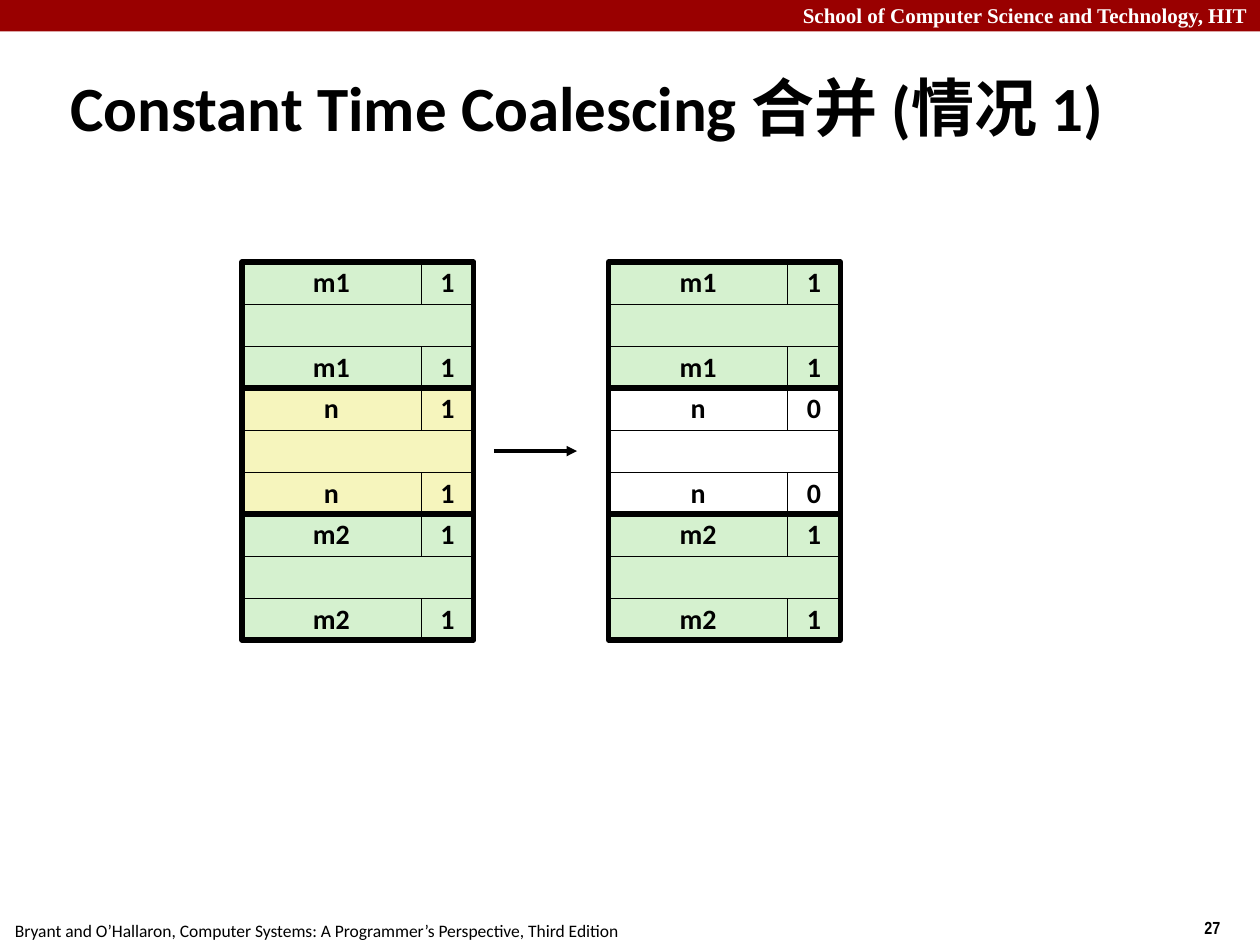
from dataclasses import dataclass
from typing import Optional

from lxml.etree import SubElement
from pptx import Presentation
from pptx.dml.color import RGBColor
from pptx.enum.shapes import MSO_CONNECTOR, MSO_SHAPE
from pptx.enum.text import MSO_ANCHOR, PP_ALIGN
from pptx.oxml.ns import qn
from pptx.util import Inches, Pt


@dataclass(frozen=True)
class Theme:
    black: str = "000000"
    white: str = "FFFFFF"
    banner: str = "990000"
    green: str = "D5F1CF"
    yellow: str = "F6F5BD"
    body_font: str = "Calibri"
    number_font: str = "Arial Narrow"
    banner_font: str = "Times New Roman"
    title_size: float = 36
    cell_size: float = 16
    banner_size: float = 12
    footer_size: float = 10
    thin: float = 0.25
    arrow: float = 2
    thick: float = 3


THEME = Theme()


@dataclass(frozen=True)
class Box:
    left: float
    top: float
    width: float
    height: float

    def lengths(self) -> tuple:
        return tuple(Inches(v) for v in (self.left, self.top, self.width, self.height))


@dataclass(frozen=True)
class TextStyle:
    size: float
    font: str = THEME.body_font
    color: str = THEME.black
    bold: bool = True
    align: PP_ALIGN = PP_ALIGN.LEFT


@dataclass(frozen=True)
class Label:
    text: str
    box: Box
    style: TextStyle
    wrap: bool = False
    anchor: MSO_ANCHOR = MSO_ANCHOR.TOP


@dataclass(frozen=True)
class Block:
    """A memory block: its size and allocated bit stand in header and footer."""
    size: str
    allocated: str
    fill: str


CELL_STYLE = TextStyle(THEME.cell_size, align=PP_ALIGN.CENTER)

HEAP_TOP = 2.08
ROW_HEIGHT = 1 / 3
BLOCK_HEIGHT = 3 * ROW_HEIGHT
SIZE_WIDTH = 1.42
BIT_WIDTH = 0.42
BLOCK_WIDTH = SIZE_WIDTH + BIT_WIDTH

FIRST = Block("m1", "1", THEME.green)
LAST = Block("m2", "1", THEME.green)
HEAPS = {
    1.92: (FIRST, Block("n", "1", THEME.yellow), LAST),
    4.83: (FIRST, Block("n", "0", THEME.white), LAST),
}

LABELS = (
    Label("27", Box(9.46, 7.23, 0.75, 0.27),
          TextStyle(THEME.footer_size, THEME.number_font)),
    Label("Bryant and O’Hallaron, Computer Systems: A Programmer’s Perspective, Third Edition",
          Box(0.02, 7.25, 5.01, 0.27), TextStyle(THEME.footer_size, bold=False)),
    Label("School of Computer Science and Technology, HIT", Box(0, -0.03, 10, 0.3),
          TextStyle(THEME.banner_size, THEME.banner_font, THEME.white, align=PP_ALIGN.RIGHT),
          wrap=True),
    Label("Constant Time Coalescing 合并 (情况 1)", Box(0.46, 0.53, 9.08, 0.63),
          TextStyle(THEME.title_size), wrap=True, anchor=MSO_ANCHOR.MIDDLE),
)


def write(frame, text: str, style: TextStyle, wrap: bool, anchor: MSO_ANCHOR):
    frame.word_wrap = wrap
    frame.vertical_anchor = anchor
    paragraph = frame.paragraphs[0]
    paragraph.alignment = style.align
    run = paragraph.add_run()
    run.text = text
    run.font.name = style.font
    run.font.size = Pt(style.size)
    run.font.bold = style.bold
    run.font.color.rgb = RGBColor.from_string(style.color)
    return paragraph


def add_label(slide, label: Label) -> None:
    frame = slide.shapes.add_textbox(*label.box.lengths()).text_frame
    write(frame, label.text, label.style, label.wrap, label.anchor)


def add_rectangle(shapes, box: Box, fill: Optional[str] = None,
                  line: Optional[float] = None, text: str = "") -> None:
    shape = shapes.add_shape(MSO_SHAPE.RECTANGLE, *box.lengths())
    shape.shadow.inherit = False
    if fill:
        shape.fill.solid()
        shape.fill.fore_color.rgb = RGBColor.from_string(fill)
    else:
        shape.fill.background()
    if line:
        shape.line.width = Pt(line)
        shape.line.color.rgb = RGBColor.from_string(THEME.black)
    else:
        shape.line.fill.background()
    if text:
        paragraph = write(shape.text_frame, text, CELL_STYLE, False, MSO_ANCHOR.MIDDLE)
        paragraph.line_spacing = 0.98


def add_block(shapes, left: float, top: float, block: Block) -> None:
    """Draw header, payload and footer rows, then the heavy frame."""
    for row in (0, 2):
        row_top = top + row * ROW_HEIGHT
        add_rectangle(shapes, Box(left, row_top, SIZE_WIDTH, ROW_HEIGHT),
                      block.fill, THEME.thin, block.size)
        add_rectangle(shapes, Box(left + SIZE_WIDTH, row_top, BIT_WIDTH, ROW_HEIGHT),
                      block.fill, THEME.thin, block.allocated)
    add_rectangle(shapes, Box(left, top + ROW_HEIGHT, BLOCK_WIDTH, ROW_HEIGHT),
                  block.fill, THEME.thin)
    add_rectangle(shapes, Box(left, top, BLOCK_WIDTH, BLOCK_HEIGHT), line=THEME.thick)


def add_arrow(slide, start: float, end: float, y: float) -> None:
    arrow = slide.shapes.add_connector(
        MSO_CONNECTOR.STRAIGHT, Inches(start), Inches(y), Inches(end), Inches(y))
    arrow.line.width = Pt(THEME.arrow)
    arrow.line.color.rgb = RGBColor.from_string(THEME.black)
    SubElement(arrow.line._get_or_add_ln(), qn("a:tailEnd"), type="triangle")
    SubElement(arrow._element.spPr, qn("a:effectLst"))


def main() -> None:
    presentation = Presentation()
    presentation.slide_width = Inches(10)
    presentation.slide_height = Inches(7.5)
    slide = presentation.slides.add_slide(presentation.slide_layouts[6])

    add_rectangle(slide.shapes, Box(0, 0, 10, 0.25), THEME.banner)
    for label in LABELS:
        add_label(slide, label)
    for left, blocks in HEAPS.items():
        heap = slide.shapes.add_group_shape()
        for index, block in enumerate(blocks):
            add_block(heap.shapes, left, HEAP_TOP + index * BLOCK_HEIGHT, block)
    add_arrow(slide, 3.92, 4.58, HEAP_TOP + 1.5 * BLOCK_HEIGHT)

    presentation.save("out.pptx")


if __name__ == "__main__":
    main()
